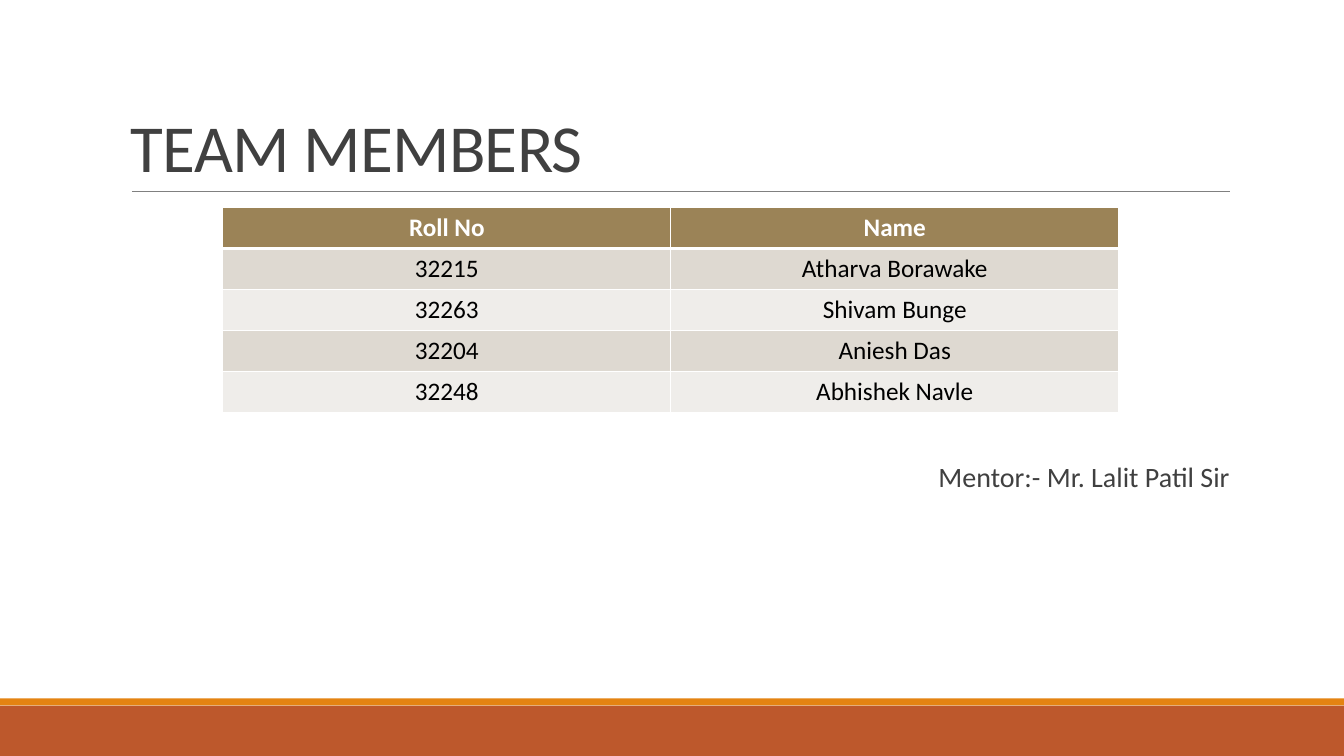
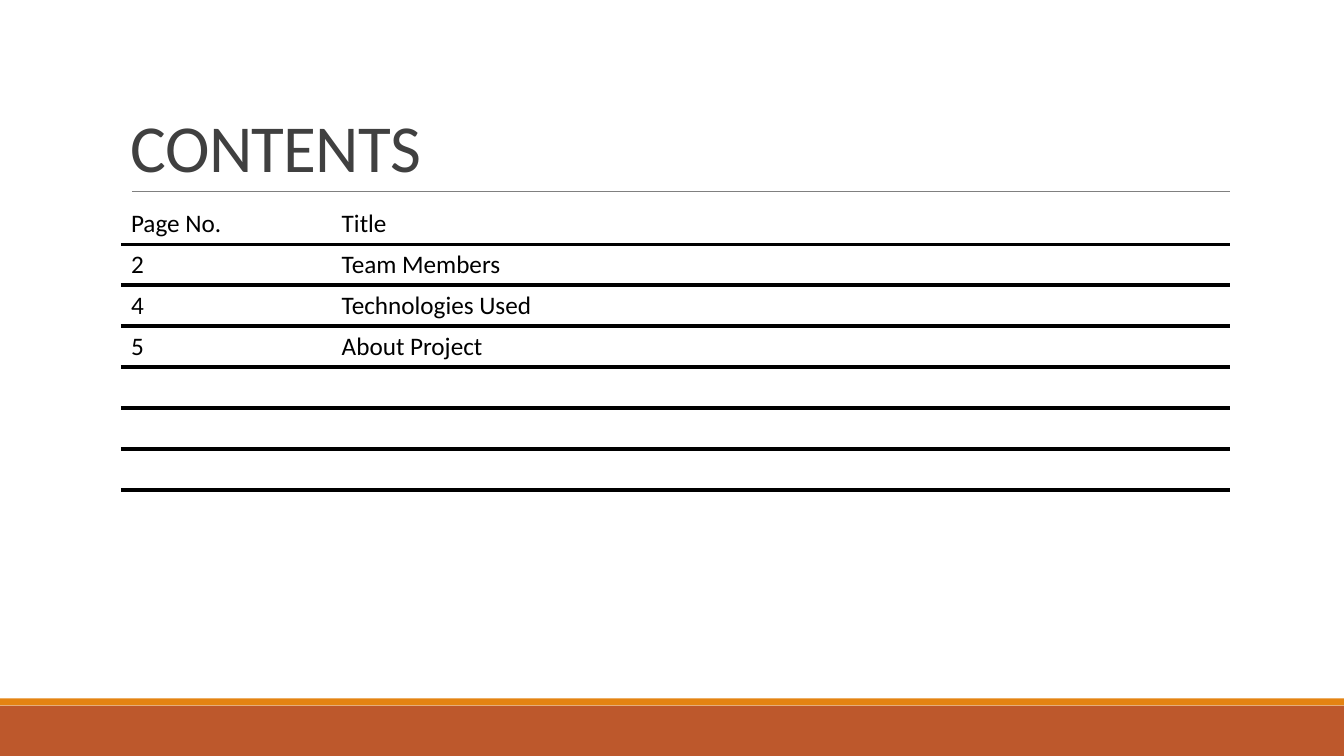
"""Builds the team members and contents slides."""
from lxml import etree
from pptx import Presentation
from pptx.dml.color import RGBColor
from pptx.enum.shapes import MSO_CONNECTOR, MSO_SHAPE
from pptx.enum.text import MSO_ANCHOR, PP_ALIGN
from pptx.oxml.ns import qn
from pptx.util import Pt

RECTANGLE = MSO_SHAPE.RECTANGLE
STRAIGHT = MSO_CONNECTOR.STRAIGHT
BOTTOM, MIDDLE = MSO_ANCHOR.BOTTOM, MSO_ANCHOR.MIDDLE
LEFT, CENTER, RIGHT = PP_ALIGN.LEFT, PP_ALIGN.CENTER, PP_ALIGN.RIGHT

WHITE = RGBColor(0xFF, 0xFF, 0xFF)
BLACK = RGBColor(0x00, 0x00, 0x00)
CHARCOAL = RGBColor(0x40, 0x40, 0x40)
GREY = RGBColor(0x80, 0x80, 0x80)
RUST = RGBColor(0xBD, 0x58, 0x2C)
ORANGE = RGBColor(0xE4, 0x83, 0x12)
BRONZE = RGBColor(0x9B, 0x83, 0x57)
SAND = RGBColor(0xDE, 0xD9, 0xD1)
IVORY = RGBColor(0xEF, 0xED, 0xEA)

FONT = "Calibri"
PAGE_WIDTH, PAGE_HEIGHT = 960, 540
BODY_LEFT, BODY_WIDTH = 86.4, 792
ROW_HEIGHT = 29.2

MEMBERS = [
    ("Roll No", "Name"),
    ("32215", "Atharva Borawake"),
    ("32263", "Shivam Bunge"),
    ("32204", "Aniesh Das"),
    ("32248", "Abhishek Navle"),
]
MENTOR = "Mentor:- Mr. Lalit Patil Sir"
CONTENTS = [
    ("Page No.", "Title"),
    ("2", "Team Members"),
    ("4", "Technologies Used"),
    ("5", "About Project"),
] + [("", "")] * 4

BANDS = [(504, 36, RUST), (498.77, 5.2, ORANGE)]


def style_paragraph(para, size, color, align=LEFT, bold=False):
    para.alignment = align
    para.font.name = FONT
    para.font.size = Pt(size)
    para.font.color.rgb = color
    para.font.bold = bold


def add_text(page, text, top, height, size, anchor, align=LEFT, side_inset=7.2):
    box = page.shapes.add_textbox(Pt(BODY_LEFT), Pt(top), Pt(BODY_WIDTH), Pt(height))
    frame = box.text_frame
    frame.word_wrap = True
    frame.vertical_anchor = anchor
    frame.margin_left = frame.margin_right = Pt(side_inset)
    para = frame.paragraphs[0]
    para.text = text
    style_paragraph(para, size, CHARCOAL, align)
    return para


def add_page(deck, title):
    page = deck.slides.add_slide(deck.slide_layouts[6])
    for top, height, color in BANDS:
        band = page.shapes.add_shape(RECTANGLE, 0, Pt(top), Pt(PAGE_WIDTH), Pt(height))
        band.shadow.inherit = False
        band.fill.solid()
        band.fill.fore_color.rgb = color
        band.line.fill.background()
    rule = page.shapes.add_connector(STRAIGHT, Pt(94.3), Pt(136.8), Pt(878.9), Pt(136.8))
    rule.line.color.rgb = GREY
    rule.line.width = Pt(0.5)
    etree.SubElement(rule.element.spPr, qn("a:effectLst"))
    para = add_text(page, title, 22.3, 114.5, 48, BOTTOM)
    para.line_spacing = 0.85
    para.runs[0].font.size = Pt(48)
    para.runs[0]._r.get_or_add_rPr().set("spc", "-50")
    return page


def set_border(cell, side, width, color):
    line = etree.SubElement(cell._tc.get_or_add_tcPr(), qn("a:ln" + side))
    line.set("w", str(Pt(width)))
    if width:
        fill = etree.SubElement(line, qn("a:solidFill"))
        etree.SubElement(fill, qn("a:srgbClr")).set("val", str(color))
    else:
        etree.SubElement(line, qn("a:noFill"))


def add_grid(page, left, top, widths, rows, rules, side, line_color, fills=None, align=LEFT):
    frame = page.shapes.add_table(len(rows), len(widths), Pt(left), Pt(top),
                                  Pt(sum(widths)), Pt(ROW_HEIGHT * len(rows)))
    table = frame.table
    table.first_row = table.horz_banding = False
    for column, width in zip(table.columns, widths):
        column.width = Pt(width)
    for r, texts in enumerate(rows):
        table.rows[r].height = Pt(ROW_HEIGHT)
        heading = bool(fills) and r == 0
        for c, text in enumerate(texts):
            cell = table.cell(r, c)
            borders = {"L": side, "R": side, "T": rules[r], "B": rules[r + 1]}
            for edge, width in borders.items():
                set_border(cell, edge, width, line_color)
            if fills:
                cell.fill.solid()
                cell.fill.fore_color.rgb = fills[r]
            else:
                cell.fill.background()
            para = cell.text_frame.paragraphs[0]
            if text:
                para.text = text
            style_paragraph(para, 18, WHITE if heading else BLACK, align, heading)


def main():
    deck = Presentation()
    deck.slide_width, deck.slide_height = Pt(PAGE_WIDTH), Pt(PAGE_HEIGHT)

    page = add_page(deck, "TEAM MEMBERS")
    add_text(page, MENTOR, 324, 32, 20, MIDDLE, RIGHT, side_inset=0)
    add_grid(page, 159.2, 148.4, [320, 320], MEMBERS, [1, 3, 1, 1, 1, 1], 1, WHITE,
             [BRONZE, SAND, IVORY, SAND, IVORY], CENTER)

    page = add_page(deck, "CONTENTS")
    inner_rules = [3] * (len(CONTENTS) - 1)
    add_grid(page, BODY_LEFT, 145.4, [150.5, 641.5], CONTENTS,
             [0, *inner_rules, 0], 0, BLACK)

    deck.save("out.pptx")


if __name__ == "__main__":
    main()
